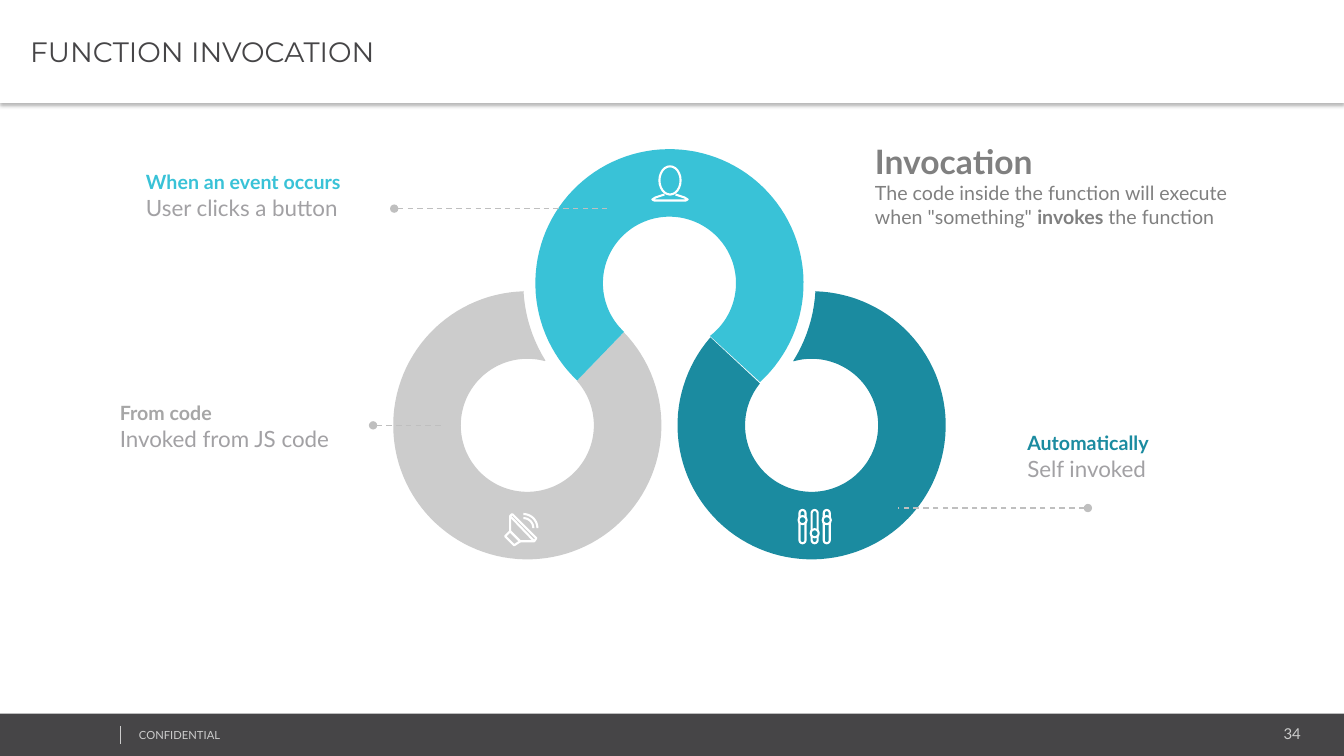
from dataclasses import dataclass
from math import cos, radians, sin
from typing import Any, NamedTuple

from lxml import etree
from pptx import Presentation
from pptx import util as u
from pptx.dml.color import RGBColor
from pptx.enum import dml, shapes, text
from pptx.oxml.ns import qn


@dataclass(frozen=True)
class Theme:
    body: str = "Lato"
    heading: str = "Montserrat"
    white: str = "FFFFFF"
    dark: str = "464547"
    pale: str = "CCCCCC"
    event: str = "39C2D7"
    auto: str = "1B8BA0"
    code: str = "A6A6A6"
    detail: str = "A2A1A4"
    grey: str = "808080"
    leader: str = "BFBFBF"
    title: float = 20
    big: float = 24
    large: float = 16
    normal: float = 14
    number: float = 10.7
    small: float = 8
    icon_line: float = 1.5


THEME = Theme()


class Point(NamedTuple):
    x: float
    y: float


class Arc(NamedTuple):
    """Part of a circle; degrees run clockwise from the right."""
    center: Point
    radius: float
    start: float
    end: float

    def points(self) -> list[Point]:
        steps = max(2, round(abs(self.end - self.start) / 3))
        angles = [radians(self.start + (self.end - self.start) * i / steps) for i in range(steps + 1)]
        return [Point(self.center.x + self.radius * cos(a), self.center.y + self.radius * sin(a))
                for a in angles]


class Ring(NamedTuple):
    color: str
    arcs: list[Arc]


class Leader(NamedTuple):
    start: Point
    end: Point


class Span(NamedTuple):
    words: str
    size: float
    color: str
    bold: bool = False
    font: str = THEME.body


class Label(NamedTuple):
    frame: tuple[float, float, float, float]
    paras: list[list[Span]]
    align: Any = text.PP_ALIGN.LEFT


OUTER, INNER, GAP = 1.33, 0.66, 1.45
EVENT, CODE, AUTO = Point(6.64, 2.81), Point(5.23, 4.22), Point(8.05, 4.22)

RINGS = [
    Ring(THEME.pale, [Arc(CODE, OUTER, 268.5, -44), Arc(CODE, INNER, -42, 285), Arc(EVENT, GAP, 148, 177)]),
    Ring(THEME.event, [Arc(EVENT, OUTER, 133.5, 407.5), Arc(EVENT, INNER, 412.5, 133)]),
    Ring(THEME.auto, [Arc(AUTO, OUTER, -88.5, 221), Arc(AUTO, INNER, 219, -106), Arc(EVENT, GAP, 32, 3)]),
]

LEADERS = [
    Leader(Point(3.7, 4.22), Point(4.4, 4.22)),
    Leader(Point(10.79, 5.04), Point(8.91, 5.04)),
    Leader(Point(3.91, 2.07), Point(6.02, 2.07)),
]


def callout(frame: tuple[float, float, float, float], head: str, color: str, detail: str) -> Label:
    return Label(frame, [[Span(head, THEME.normal, color, True)],
                         [Span(detail, THEME.large, THEME.detail)]])


LABELS = [
    callout((1.35, 1.64, 3.76, 0.67), "When an event occurs", THEME.event, "User clicks a button"),
    callout((1.09, 3.93, 2.37, 0.61), "From code", THEME.code, "Invoked from JS code"),
    callout((10.09, 4.23, 1.71, 0.67), "Automatically", THEME.auto, "Self invoked"),
    Label((8.58, 1.35, 4.16, 1.41), [
        [Span("Invocation", THEME.big, THEME.grey, True)],
        [Span('The code inside the function will execute when "something" ', THEME.normal, THEME.grey),
         Span("invokes ", THEME.normal, THEME.grey, True),
         Span("the function", THEME.normal, THEME.grey)]]),
    Label((10.82, 7.14, 2.18, 0.28), [[Span("34", THEME.number, THEME.pale)]], text.PP_ALIGN.RIGHT),
    Label((1.28, 7.18, 3.38, 0.24), [[Span("CONFIDENTIAL", THEME.small, THEME.pale)]]),
]


def apply(target: Any, values: dict[str, Any]) -> None:
    for name, value in values.items():
        setattr(target, name, value)


def paint(shape: Any, fill: str | None = None, line: str | None = None) -> Any:
    shape.shadow.inherit = False
    if fill:
        shape.fill.solid()
        shape.fill.fore_color.rgb = RGBColor.from_string(fill)
    else:
        shape.fill.background()
    if line:
        shape.line.color.rgb = RGBColor.from_string(line)
        shape.line.width = u.Pt(THEME.icon_line)
    else:
        shape.line.fill.background()
    return shape


def add_preset(page: Any, kind: Any, frame: tuple[float, ...], **colors: str) -> Any:
    return paint(page.shapes.add_shape(kind, *map(u.Inches, frame)), **colors)


def add_outline(page: Any, points: list[Point], close: bool = True, **colors: str) -> Any:
    first, *rest = [(u.Inches(x), u.Inches(y)) for x, y in points]
    builder = page.shapes.build_freeform(*first, scale=1.0)
    builder.add_line_segments(rest, close=close)
    return paint(builder.convert_to_shape(), **colors)


def add_line(page: Any, start: Point, end: Point, color: str, width: float) -> Any:
    line = page.shapes.add_connector(shapes.MSO_CONNECTOR.STRAIGHT, *map(u.Inches, (*start, *end)))
    line.line.color.rgb = RGBColor.from_string(color)
    line.line.width = u.Pt(width)
    etree.SubElement(line._element.spPr, qn("a:effectLst"))
    return line


def add_leader(page: Any, leader: Leader) -> None:
    line = add_line(page, leader.start, leader.end, THEME.leader, 1)
    line.line.dash_style = dml.MSO_LINE.DASH
    etree.SubElement(line.line._get_or_add_ln(), qn("a:headEnd"), type="oval")


def add_span(para: Any, span: Span) -> None:
    run = para.add_run()
    run.text = span.words
    apply(run.font, {"name": span.font, "size": u.Pt(span.size), "bold": span.bold})
    run.font.color.rgb = RGBColor.from_string(span.color)


def add_label(page: Any, label: Label) -> None:
    box = page.shapes.add_textbox(*map(u.Inches, label.frame)).text_frame
    box.word_wrap = True
    for index, spans in enumerate(label.paras):
        para = box.add_paragraph() if index else box.paragraphs[0]
        para.alignment = label.align
        for span in spans:
            add_span(para, span)


def add_person_icon(page: Any) -> None:
    add_preset(page, shapes.MSO_SHAPE.OVAL, (6.54, 1.65, 0.21, 0.28), line=THEME.white)
    shoulders = [(6.59, 1.93), (6.5, 1.96), (6.47, 1.98), (6.49, 1.99),
                 (6.8, 1.99), (6.82, 1.98), (6.79, 1.96), (6.7, 1.93)]
    add_outline(page, [Point(*p) for p in shoulders], close=False, line=THEME.white)


def add_sliders_icon(page: Any) -> None:
    for index, knob_y in enumerate((5.16, 5.29, 5.16)):
        x = 7.96 + 0.12 * index
        track = add_preset(page, shapes.MSO_SHAPE.ROUNDED_RECTANGLE, (x - 0.03, 5.06, 0.06, 0.33), line=THEME.white)
        track.adjustments[0] = 0.5
        add_preset(page, shapes.MSO_SHAPE.OVAL, (x - 0.04, knob_y - 0.04, 0.08, 0.08),
                   fill=THEME.auto, line=THEME.white)


def add_speaker_icon(page: Any) -> None:
    horn = [(5.06, 5.12), (5.06, 5.27), (5.16, 5.37), (5.3, 5.37), (5.32, 5.34), (5.08, 5.1)]
    base = [(5.06, 5.27), (5.01, 5.32), (5.1, 5.41), (5.16, 5.37)]
    crease = [(5.06, 5.12), (5.3, 5.37)]
    for points in (horn, base, crease):
        add_outline(page, [Point(*p) for p in points], close=points is not crease, line=THEME.white)
    for radius in (0.1, 0.14):
        add_outline(page, Arc(Point(5.19, 5.24), radius, 270, 360).points(), close=False, line=THEME.white)


def add_header(page: Any) -> None:
    header = add_preset(page, shapes.MSO_SHAPE.RECTANGLE, (0, 0, 13.33, 1.02), fill=THEME.white)
    effects = header._element.spPr.find(qn("a:effectLst"))
    shadow = etree.SubElement(effects, qn("a:outerShdw"), blurRad=str(u.Pt(3.1)), dist=str(u.Pt(2)),
                              dir="5400000", algn="t", rotWithShape="0")
    black = etree.SubElement(shadow, qn("a:srgbClr"), val="000000")
    etree.SubElement(black, qn("a:alpha"), val="30000")
    box = header.text_frame
    apply(box, {"margin_left": u.Inches(0.3), "margin_right": u.Inches(0.07), "margin_top": u.Inches(0.04),
                "margin_bottom": u.Inches(0.04), "vertical_anchor": text.MSO_ANCHOR.MIDDLE})
    box.paragraphs[0].alignment = text.PP_ALIGN.LEFT
    add_span(box.paragraphs[0], Span("FUNCTION INVOCATION", THEME.title, THEME.dark, font=THEME.heading))


def main() -> None:
    deck = Presentation()
    apply(deck, {"slide_width": u.Inches(13.33), "slide_height": u.Inches(7.5)})
    page = deck.slides.add_slide(deck.slide_layouts[6])
    add_preset(page, shapes.MSO_SHAPE.RECTANGLE, (0, 7.08, 13.33, 0.42), fill=THEME.dark)
    add_line(page, Point(1.19, 7.2), Point(1.19, 7.38), THEME.pale, 0.25)
    for ring in RINGS:
        add_outline(page, [p for arc in ring.arcs for p in arc.points()], fill=ring.color)
    for leader in LEADERS:
        add_leader(page, leader)
    for label in LABELS:
        add_label(page, label)
    for add_icon in (add_person_icon, add_sliders_icon, add_speaker_icon):
        add_icon(page)
    add_header(page)
    deck.save("out.pptx")


if __name__ == "__main__":
    main()
